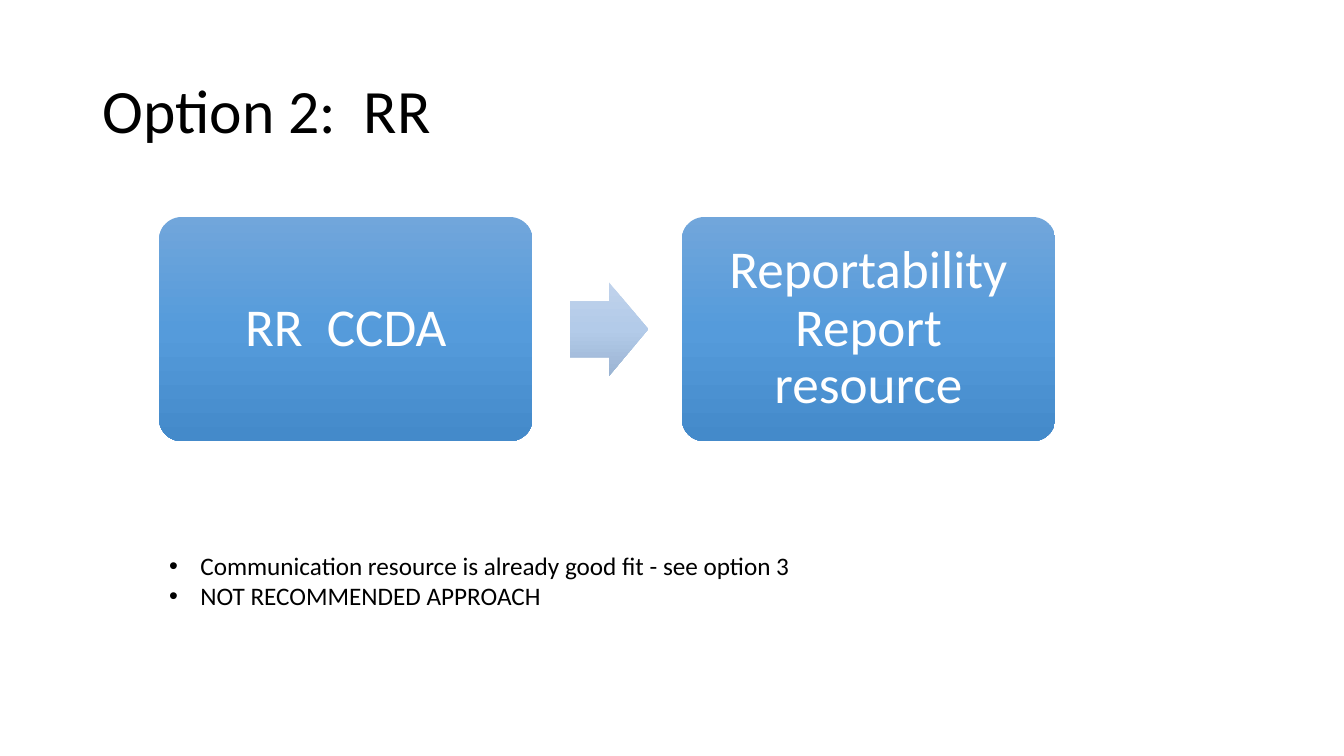
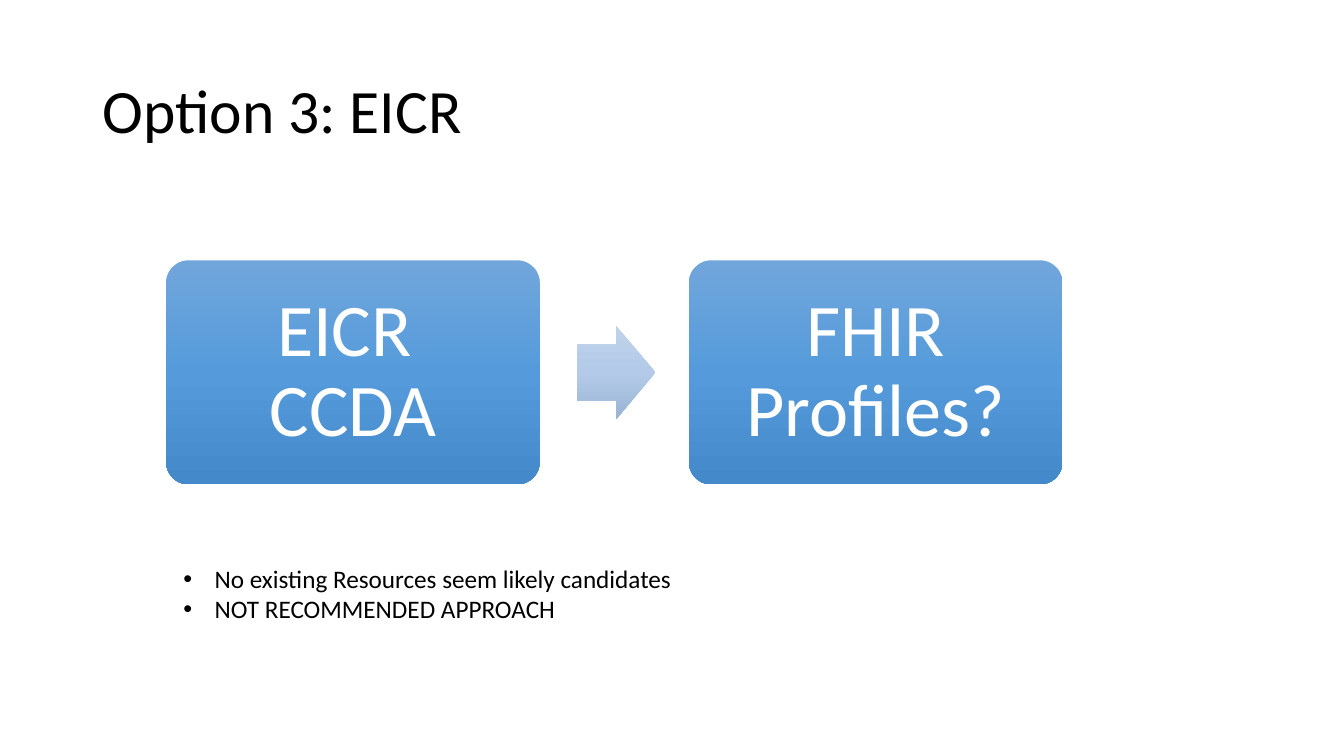
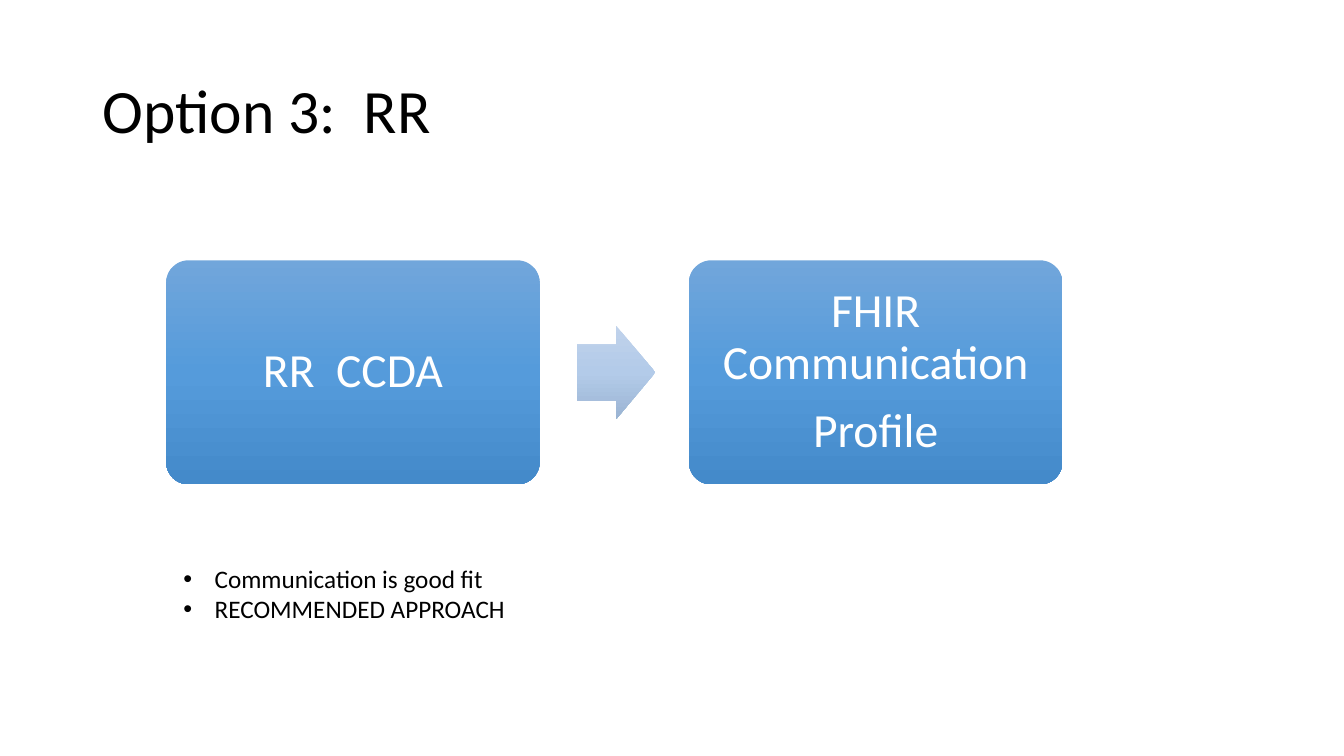
"""Build three slides that each map one CCDA document to a FHIR target."""
from copy import deepcopy
from dataclasses import dataclass
from typing import Any

from lxml import etree
from pptx import Presentation
from pptx.dml.color import RGBColor
from pptx.enum.shapes import MSO_SHAPE
from pptx.enum.text import MSO_ANCHOR, MSO_AUTO_SIZE, PP_ALIGN
from pptx.oxml.ns import qn
from pptx.util import Cm, Pt

BOX = MSO_SHAPE.ROUNDED_RECTANGLE
ARROW = MSO_SHAPE.RIGHT_ARROW
MIDDLE = MSO_ANCHOR.MIDDLE
TOP = MSO_ANCHOR.TOP
GROW = MSO_AUTO_SIZE.SHAPE_TO_FIT_TEXT
FIXED = MSO_AUTO_SIZE.NONE
CENTER = PP_ALIGN.CENTER

BLACK = RGBColor(0x00, 0x00, 0x00)
WHITE = RGBColor(0xFF, 0xFF, 0xFF)
BLUES = (RGBColor(0x71, 0xA6, 0xDB), RGBColor(0x55, 0x9B, 0xDB), RGBColor(0x44, 0x8A, 0xCA))
PALES = (RGBColor(0xC0, 0xD2, 0xEB), RGBColor(0xB3, 0xCB, 0xE9), RGBColor(0x9B, 0xB4, 0xD3))

FONT = "Calibri"
WIDE = 9.41
HIGH = 0.6 * WIDE
STEP = 1.4 * WIDE
HEAD = (0.21 * WIDE, 0.25 * WIDE)
INDENT = Cm(0.79)


@dataclass(frozen=True)
class Area:
    """A place on the slide in centimetres."""

    left: float
    top: float
    width: float
    height: float

    def lengths(self) -> tuple[Cm, Cm, Cm, Cm]:
        """Return the four lengths."""
        return Cm(self.left), Cm(self.top), Cm(self.width), Cm(self.height)


@dataclass(frozen=True)
class Page:
    """The content of one slide."""

    title: str
    left: float
    top: float
    size: int
    boxes: tuple[tuple[str, ...], ...]
    notes: tuple[str, ...]
    area: Area


TITLE = Area(2.33, 1.01, 29.21, 3.68)
LOW = Area(4.37, 14.07, 22.23, 1.8)
PAGES = (
    Page("Option 2:  RR", 4.01, 5.47, 38,
         (("RR  CCDA",), ("Reportability Report resource",)),
         ("Communication resource is already good fit - see option 3",
          "NOT RECOMMENDED APPROACH"),
         Area(4.01, 13.74, 16.51, 1.8)),
    Page("Option 3: EICR", 4.19, 6.56, 53,
         (("EICR  CCDA",), ("FHIR Profiles?",)),
         ("No existing Resources seem likely candidates", "NOT RECOMMENDED APPROACH"),
         LOW),
    Page("Option 3:  RR", 4.19, 6.56, 34,
         (("RR  CCDA",), ("FHIR Communication", "Profile")),
         ("Communication is good fit", "RECOMMENDED APPROACH"),
         LOW),
)


def apply(item: Any, form: dict[str, Any]) -> None:
    """Set each attribute named in the format."""
    for name, value in form.items():
        setattr(item, name, value)


def write(shape: Any, lines: tuple[str, ...], frame: dict[str, Any],
          para: dict[str, Any], size: int, color: RGBColor) -> None:
    """Write lines as paragraphs with one format."""
    text = shape.text_frame
    text.text = "\n".join(lines)
    apply(text, {"word_wrap": True, **frame})
    for item in text.paragraphs:
        apply(item, para)
        apply(item.runs[0].font, {"name": FONT, "size": Pt(size)})
        item.runs[0].font.color.rgb = color


def bullet(shape: Any) -> None:
    """Give each paragraph a hanging bullet."""
    for item in shape.text_frame.paragraphs:
        props = item._p.get_or_add_pPr()
        props.set("marL", str(INDENT))
        props.set("indent", str(-INDENT))
        etree.SubElement(props, qn("a:buFont")).set("typeface", "Arial")
        etree.SubElement(props, qn("a:buChar")).set("char", "•")


def draw(slide: Any, kind: Any, area: Area, colors: tuple[RGBColor, ...],
         bends: tuple[float, ...]) -> Any:
    """Add a shape with a gradient from top to bottom."""
    shape = slide.shapes.add_shape(kind, *area.lengths())
    shape.shadow.inherit = False
    shape.line.fill.background()
    for index, value in enumerate(bends):
        shape.adjustments[index] = value
    fill = shape.fill
    fill.gradient()
    fill.gradient_angle = 270
    stops = next(shape.element.iter(qn("a:gsLst")))
    stops.append(deepcopy(stops[0]))
    for index, color in enumerate(colors):
        stop = fill.gradient_stops[index]
        stop.position = index / (len(colors) - 1)
        stop.color.rgb = color
    return shape


def build(slide: Any, page: Page) -> None:
    """Draw one page."""
    inset = Pt(round(0.3 * page.size))
    sides = ("margin_left", "margin_top", "margin_right", "margin_bottom")
    frame = {"vertical_anchor": MIDDLE, **dict.fromkeys(sides, inset)}
    para = {"alignment": CENTER, "line_spacing": 0.9, "space_after": Pt(round(0.35 * page.size))}
    for index, lines in enumerate(page.boxes):
        area = Area(page.left + index * STEP, page.top, WIDE, HIGH)
        box = draw(slide, BOX, area, BLUES, (0.1,))
        write(box, lines, frame, para, page.size, WHITE)

    width, height = HEAD
    area = Area(page.left + 1.1 * WIDE, page.top + (HIGH - height) / 2, width, height)
    draw(slide, ARROW, area, PALES, (0.6, 0.5))

    title = slide.shapes.add_textbox(*TITLE.lengths())
    write(title, (page.title,), {"vertical_anchor": MIDDLE, "auto_size": FIXED},
          {"line_spacing": 0.9}, 44, BLACK)
    notes = slide.shapes.add_textbox(*page.area.lengths())
    write(notes, page.notes, {"vertical_anchor": TOP, "auto_size": GROW}, {}, 18, BLACK)
    bullet(notes)


def main() -> None:
    """Build and save the deck."""
    deck = Presentation()
    apply(deck, {"slide_width": Cm(33.87), "slide_height": Cm(19.05)})
    for page in PAGES:
        build(deck.slides.add_slide(deck.slide_layouts[6]), page)
    deck.save("out.pptx")


if __name__ == "__main__":
    main()
